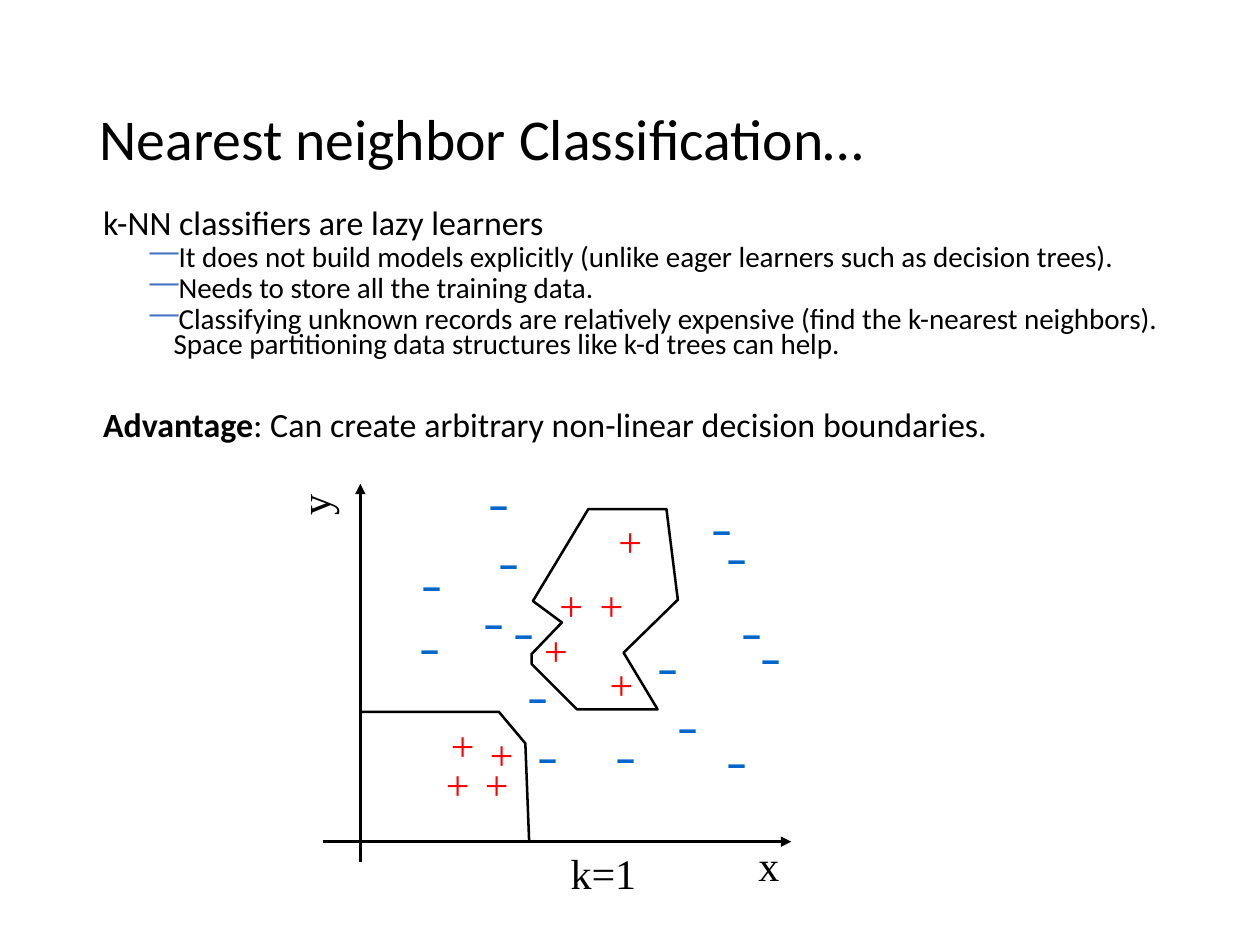
import pptx
import pptx.util
import pptx.dml.color
import pptx.enum.shapes
import pptx.enum.text
import pptx.oxml
import pptx.oxml.ns

SLIDE_WIDTH, SLIDE_HEIGHT = 10, 7.5
MARK_BOX = (0.49, 0.5)
LINE_WIDTH = 1.45

HEADING = "Nearest neighbor Classification…"
STATEMENT = dict(size=19.4, before=7.5, bullet=False)
DETAIL = dict(size=16.6, before=3.8, bullet=True)
CLOSING = dict(STATEMENT, before=31.6)
POINTS = [
    ([("k-NN classifiers are lazy learners", False)], STATEMENT),
    ([("It does not build models explicitly (unlike eager learners such as decision trees).", False)], DETAIL),
    ([("Needs to store all the training data.", False)], DETAIL),
    ([("Classifying unknown records are relatively expensive (find the k-nearest neighbors). "
       "Space partitioning data structures like k-d trees can help.", False)], DETAIL),
    ([("Advantage", True), (": Can create arbitrary non-linear decision boundaries.", False)], CLOSING),
]

AXES = [((2.56, 6.68), (6.28, 6.68)), ((2.86, 6.84), (2.86, 3.84))]
LABELS = [
    ("x", (5.92, 6.61, 0.36, 0.5), 0),
    ("y", (2.31, 3.76, 0.36, 0.5), 270),
    ("k=1", (4.43, 6.68, 0.72, 0.5), 0),
]
LABEL_FONT = dict(name="Times New Roman", size=24, color="000000")
CLASSES = [
    ("+", dict(name="Times New Roman", size=24, color="FF0000"), [
        (4.34, 4.55), (4.81, 4.04), (4.66, 4.55), (3.48, 5.66), (3.79, 5.73),
        (3.44, 5.97), (3.75, 5.97), (4.22, 4.91), (4.74, 5.18)]),
    ("–", dict(name="Cabin", size=24, color="0066CC"), [
        (5.94, 4.97), (5.55, 3.95), (5.12, 5.05), (5.79, 4.77), (5.67, 5.8),
        (3.25, 4.39), (3.23, 4.89), (3.86, 4.22), (3.98, 4.77), (4.79, 5.76),
        (4.17, 5.76), (4.09, 5.28), (3.78, 3.75), (5.28, 5.52), (5.67, 4.18),
        (3.74, 4.69)]),
]
BOUNDARIES = [
    [(4.22, 5.27), (4.58, 5.63), (5.22, 5.63), (4.95, 5.18), (5.38, 4.76),
     (5.29, 4.04), (4.67, 4.04), (4.23, 4.77), (4.46, 4.94), (4.22, 5.19)],
    [(2.86, 5.65), (3.96, 5.65), (4.17, 5.9), (4.2, 6.68), (2.86, 6.68), (2.86, 5.63)],
]


def inches(*lengths):
    return [pptx.util.Inches(length) for length in lengths]


def rgb(value):
    return pptx.dml.color.RGBColor.from_string(value)


def apply(target, values):
    for key, value in values.items():
        setattr(target, key, value)


def add_run(paragraph, text, name, size, color, bold=False):
    run = paragraph.add_run()
    run.text = text
    apply(run.font, dict(name=name, size=pptx.util.Pt(size), bold=bold))
    run.font.color.rgb = rgb(color)


def add_xml(parent, tag, **attributes):
    child = pptx.oxml.parse_xml(f"<a:{tag} {pptx.oxml.ns.nsdecls('a')}/>")
    for key, value in attributes.items():
        child.set(key, value)
    parent.append(child)
    return child


def add_label(slide, text, box, font, rotation=0, wrap=True):
    label = slide.shapes.add_textbox(*inches(*box))
    label.rotation = rotation
    label.text_frame.word_wrap = wrap
    add_run(label.text_frame.paragraphs[0], text, **font)


def add_bullet(paragraph):
    properties = paragraph._p.get_or_add_pPr()
    margin, indent = inches(0.56, -0.19)
    properties.set("marL", str(margin))
    properties.set("indent", str(indent))
    add_xml(add_xml(properties, "buClr"), "srgbClr", val="4472C4")
    add_xml(properties, "buChar", char="—")


def add_heading(slide):
    title = slide.shapes.title
    apply(title, dict(zip(("left", "top", "width", "height"), inches(0.69, 0.4, 8.62, 1.45))))
    apply(title.text_frame, dict(
        vertical_anchor=pptx.enum.text.MSO_ANCHOR.MIDDLE, word_wrap=True))
    paragraph = title.text_frame.paragraphs[0]
    apply(paragraph, dict(alignment=pptx.enum.text.PP_ALIGN.LEFT, line_spacing=0.9))
    add_run(paragraph, HEADING, "Calibri", 33, "000000")


def add_points(slide):
    frame = slide.shapes.add_textbox(*inches(0.72, 1.64, 8.62, 2.04)).text_frame
    frame.word_wrap = True
    for index, (runs, style) in enumerate(POINTS):
        paragraph = frame.add_paragraph() if index else frame.paragraphs[0]
        apply(paragraph, dict(line_spacing=0.7, space_before=pptx.util.Pt(style["before"])))
        if style["bullet"]:
            paragraph.level = 1
            add_bullet(paragraph)
        for text, bold in runs:
            add_run(paragraph, text, "Calibri", style["size"], "000000", bold)


def draw_line(line):
    line.color.rgb = rgb("000000")
    line.width = pptx.util.Pt(LINE_WIDTH)


def add_axis(slide, start, end):
    axis = slide.shapes.add_connector(
        pptx.enum.shapes.MSO_CONNECTOR.STRAIGHT, *inches(*start, *end))
    draw_line(axis.line)
    add_xml(axis.line._get_or_add_ln(), "tailEnd", type="triangle")
    add_xml(axis._element.spPr, "effectLst")


def add_boundary(slide, corners):
    points = [inches(*corner) for corner in corners]
    builder = slide.shapes.build_freeform(*points[0])
    builder.add_line_segments(points[1:], close=True)
    boundary = builder.convert_to_shape()
    boundary.shadow.inherit = False
    boundary.fill.background()
    draw_line(boundary.line)


def main():
    deck = pptx.Presentation()
    deck.slide_width, deck.slide_height = inches(SLIDE_WIDTH, SLIDE_HEIGHT)
    slide = deck.slides.add_slide(deck.slide_layouts.get_by_name("Title Only"))
    add_heading(slide)
    add_points(slide)
    for start, end in AXES:
        add_axis(slide, start, end)
    for sign, font, places in CLASSES:
        for place in places:
            add_label(slide, sign, place + MARK_BOX, font)
    for text, box, rotation in LABELS:
        add_label(slide, text, box, LABEL_FONT, rotation, wrap=False)
    for corners in BOUNDARIES:
        add_boundary(slide, corners)
    deck.save("out.pptx")


if __name__ == "__main__":
    main()
